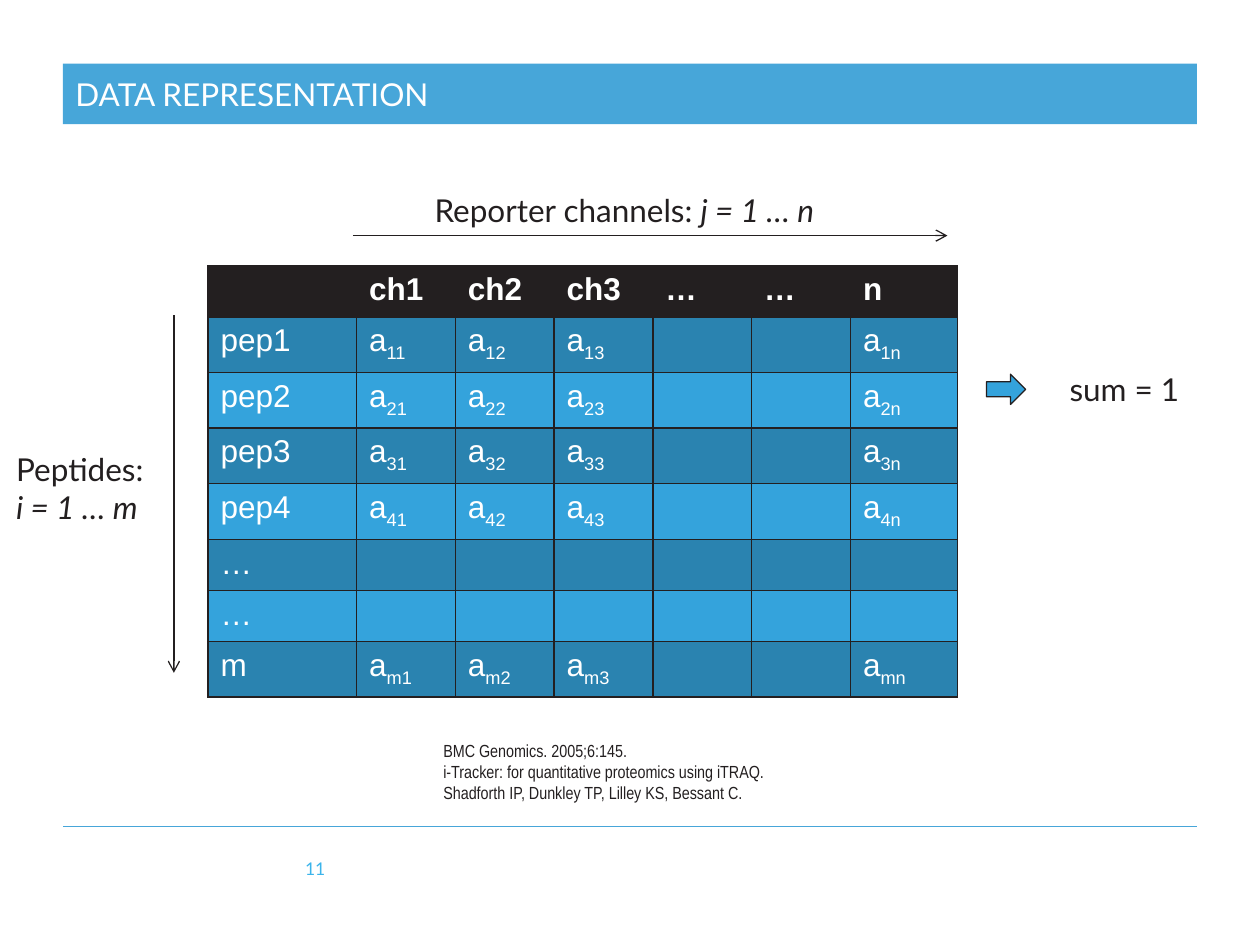
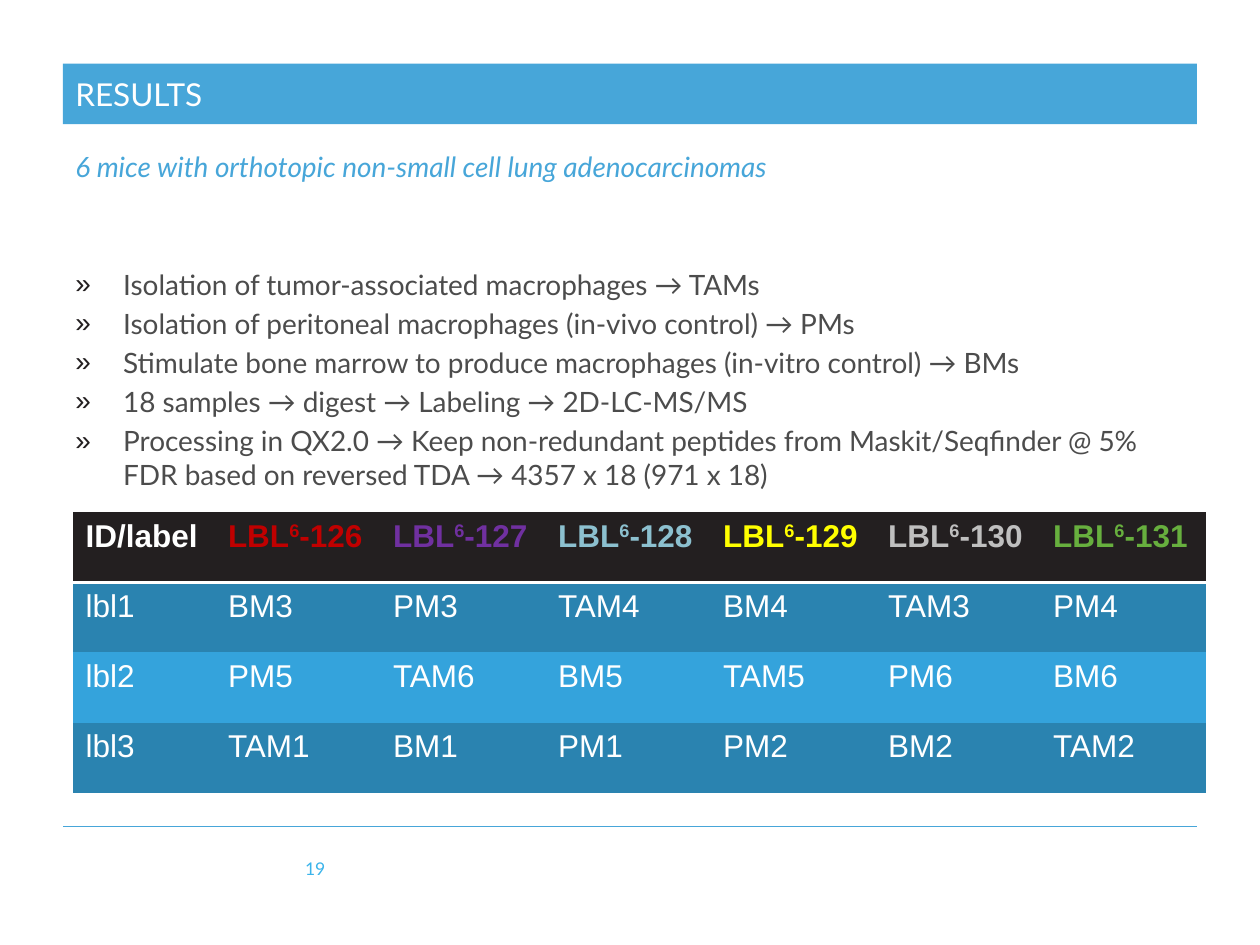
from dataclasses import dataclass

from lxml import etree
from pptx import Presentation
from pptx import util as u
from pptx.dml.color import RGBColor
from pptx.enum import shapes, text
from pptx.oxml import ns

COLS, ROWS = 100, 75  # grid cells across and down the slide


@dataclass(frozen=True)
class Theme:
    band: str = "47A6D9"
    ink: str = "231F20"
    body: str = "4C4C4C"
    number: str = "3BB4EB"
    white: str = "FFFFFF"
    dark_row: str = "2A83B0"
    light_row: str = "34A3DC"
    font: str = "Lato"
    table_font: str = "Arial"
    source_font: str = "Arial Narrow"
    large: int = 18
    medium: int = 16
    small: int = 10
    no_table_style: str = "{2D5ABB26-0587-4C30-8999-92F81FD0307C}"


T = Theme()
ITALIC = {"italic": True}
BULLET = {"marL": 0.38, "indent": -0.38}
SUBSCRIPT, SUPERSCRIPT = -25000, 30000


def grid(prs, *cells):
    """Turn alternating columns and rows into slide lengths."""
    units = (prs.slide_width / COLS, prs.slide_height / ROWS)
    return [u.Emu(round(n * units[i % 2])) for i, n in enumerate(cells)]


def rgb(color):
    return RGBColor.from_string(color)


def xml_child(parent, tag, **attributes):
    return etree.SubElement(parent, ns.qn(tag), attributes)


def write(p, runs, color=T.ink, size=T.large, font=T.font, **fmt):
    """Fill a paragraph from a string or a list of (text, format) pairs."""
    for words, extra in [(runs, {})] if isinstance(runs, str) else runs:
        r = p.add_run()
        r.text = words
        values = {"size": u.Pt(size), "name": font, **fmt, **extra}
        baseline = values.pop("baseline", None)
        for name, value in values.items():
            setattr(r.font, name, value)
        r.font.color.rgb = rgb(color)
        if baseline:
            r._r.get_or_add_rPr().set("baseline", str(baseline))


def add_bullet(p):
    pPr = p._p.get_or_add_pPr()
    for name, inches in BULLET.items():
        pPr.set(name, str(u.Inches(inches)))
    xml_child(xml_child(pPr, "a:buClr"), "a:srgbClr", val=T.ink)
    xml_child(pPr, "a:buFont", typeface=T.table_font)
    xml_child(pPr, "a:buChar", char="»")


def add_text(prs, s, cells, paragraphs, align=None, anchor=text.MSO_ANCHOR.TOP,
             fill=None, bullets=False, space=0, **fmt):
    sp = s.shapes.add_textbox(*grid(prs, *cells))
    if fill:
        sp.fill.solid()
        sp.fill.fore_color.rgb = rgb(fill)
    tf = sp.text_frame
    tf.word_wrap = True
    tf.vertical_anchor = anchor
    for i, runs in enumerate(paragraphs):
        p = tf.add_paragraph() if i else tf.paragraphs[0]
        p.alignment = align
        if i and space:
            p.space_before = u.Pt(space)
        if bullets:
            add_bullet(p)
        write(p, runs, **fmt)


def add_line(prs, s, ends, color, width, arrow=False):
    line = s.shapes.add_connector(shapes.MSO_CONNECTOR.STRAIGHT, *grid(prs, *ends))
    line.line.color.rgb = rgb(color)
    line.line.width = u.Pt(width)
    if arrow:
        xml_child(line.line._get_or_add_ln(), "a:tailEnd", type="arrow")
    xml_child(line._element.spPr, "a:effectLst")


def add_block_arrow(prs, s, cells):
    sp = s.shapes.add_shape(shapes.MSO_SHAPE.RIGHT_ARROW, *grid(prs, *cells))
    sp.shadow.inherit = False
    sp.fill.solid()
    sp.fill.fore_color.rgb = rgb(T.light_row)
    sp.line.color.rgb = rgb(T.ink)
    sp.line.width = u.Pt(0.75)


def add_border(cell, sides, color, width):
    tcPr = cell._tc.get_or_add_tcPr()
    for side in sides:
        ln = xml_child(tcPr, f"a:ln{side}", w=str(u.Pt(width)))
        xml_child(xml_child(ln, "a:solidFill"), "a:srgbClr", val=color)


def add_table(prs, s, corner, widths, row_height, rows, border=None,
              header_border=None, header_colors=None):
    """Draw a dark header over rows in two alternating blues."""
    cells = (*corner, sum(widths), row_height * len(rows))
    table = s.shapes.add_table(len(rows), len(widths), *grid(prs, *cells)).table
    table.first_row = table.horz_banding = False
    table._tbl.tblPr.find(ns.qn("a:tableStyleId")).text = T.no_table_style
    for column, width in zip(table.columns, widths):
        column.width = grid(prs, width)[0]
    for i, row in enumerate(rows):
        table.rows[i].height = grid(prs, 0, row_height)[1]
        fill = (T.dark_row if i % 2 else T.light_row) if i else T.ink
        edge = border if i else header_border or border
        for j, runs in enumerate(row):
            cell = table.cell(i, j)
            if edge:
                add_border(cell, *edge)
            cell.fill.solid()
            cell.fill.fore_color.rgb = rgb(fill)
            color = header_colors[j] if header_colors and not i else T.white
            if runs:
                write(cell.text_frame.paragraphs[0], runs, color=color,
                      font=T.table_font, bold=not i)


def add_slide(prs, title, number):
    s = prs.slides.add_slide(prs.slide_layouts[6])
    middle = text.MSO_ANCHOR.MIDDLE
    add_line(prs, s, (5, 65.6, 95, 65.6), T.band, 0.5)
    add_text(prs, s, (5, 5.05, 90, 4.8), [title], anchor=middle, fill=T.band,
             color=T.white)
    add_text(prs, s, (19.9, 66.9, 6.9, 4), [number], anchor=middle,
             align=text.PP_ALIGN.RIGHT, color=T.number, size=T.small)
    return s


def matrix_row(label, index):
    def entry(column):
        return [("a", {}), (f"{index}{column}", {"baseline": SUBSCRIPT})]
    return [label, entry(1), entry(2), entry(3), "", "", entry("n")]


def data_representation(prs):
    s = add_slide(prs, "DATA REPRESENTATION", "11")
    add_line(prs, s, (28, 18.7, 75.2, 18.7), T.ink, 0.75, arrow=True)
    add_text(prs, s, (33.5, 14.7, 42.5, 4),
             [[("Reporter channels: ", {}), ("j = 1 … n", ITALIC)]])
    add_block_arrow(prs, s, (78.3, 29.7, 3.1, 2.4))
    add_line(prs, s, (13.8, 25, 13.8, 53.4), T.ink, 0.75, arrow=True)
    add_text(prs, s, (0.3, 35.2, 14.7, 7.1), ["Peptides:", [("i = 1 … m", ITALIC)]])
    add_text(prs, s, (83.9, 28.9, 13.4, 4), ["sum = 1"])
    add_text(prs, s, (34.2, 58.2, 29.1, 6.1), [
        "BMC Genomics. 2005;6:145.",
        "i-Tracker: for quantitative proteomics using iTRAQ.",
        "Shadforth IP, Dunkley TP, Lilley KS, Bessant C.",
    ], size=T.small, font=T.source_font)
    gap = ["…"] + [""] * 6
    rows = [["", "ch1", "ch2", "ch3", "…", "…", "n"],
            *(matrix_row(f"pep{i}", i) for i in range(1, 5)),
            gap, gap, matrix_row("m", "m")]
    add_table(prs, s, (16.5, 21.1), [11.8] + [7.84] * 5 + [8.5], 4.05, rows,
              border=("LRTB", T.ink, 1))


def results(prs):
    s = add_slide(prs, "RESULTS", "19")
    add_text(prs, s, (5, 20.7, 90, 44.1), [
        "Isolation of tumor-associated macrophages → TAMs",
        "Isolation of peritoneal macrophages (in-vivo control) → PMs",
        "Stimulate bone marrow to produce macrophages (in-vitro control) → BMs",
        "18 samples → digest → Labeling → 2D-LC-MS/MS",
        "Processing in QX2.0 → Keep non-redundant peptides from Maskit/Seqfinder @ 5% "
        "FDR based on reversed TDA → 4357 x 18 (971 x 18)",
    ], bullets=True, space=3.2, color=T.body, size=T.medium)
    add_text(prs, s, (5, 11.4, 90, 7.8),
             ["6 mice with orthotopic non-small cell lung adenocarcinomas"],
             color=T.band, size=T.medium, italic=True)
    labels = [[("LBL", {}), ("6", {"baseline": SUPERSCRIPT}), (f"-{mass}", {})]
              for mass in range(126, 132)]
    rows = [["ID/label", *labels],
            ["lbl1", "BM3", "PM3", "TAM4", "BM4", "TAM3", "PM4"],
            ["lbl2", "PM5", "TAM6", "BM5", "TAM5", "PM6", "BM6"],
            ["lbl3", "TAM1", "BM1", "PM1", "PM2", "BM2", "TAM2"]]
    label_colors = [T.white, "C00000", "7030A0", "8CC0CF", "FFFF00", "BFBFBF", "67AF3E"]
    add_table(prs, s, (5.8, 40.65), [11.3] + [13.1] * 6, 5.57, rows,
              header_border=("B", T.white, 2), header_colors=label_colors)


def main():
    prs = Presentation()
    prs.slide_width, prs.slide_height = u.Inches(10), u.Inches(7.5)
    data_representation(prs)
    results(prs)
    prs.save("out.pptx")


if __name__ == "__main__":
    main()
